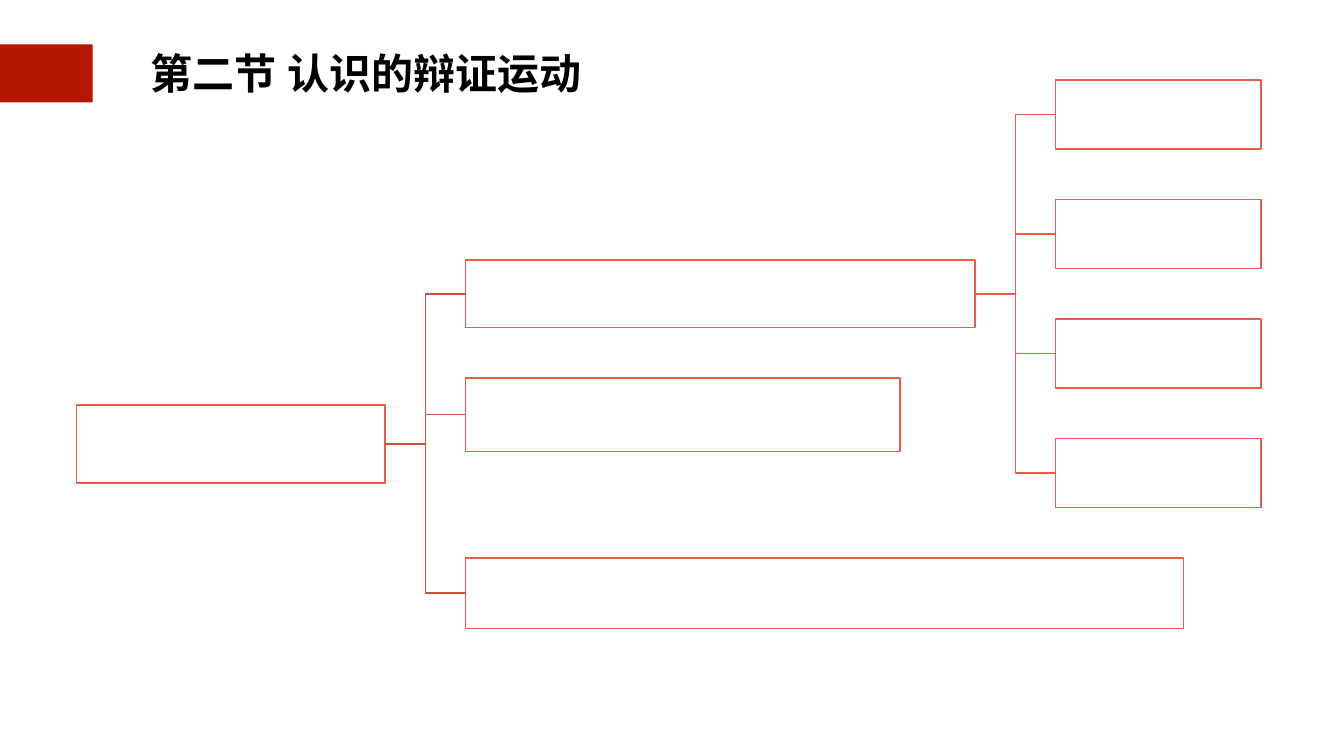
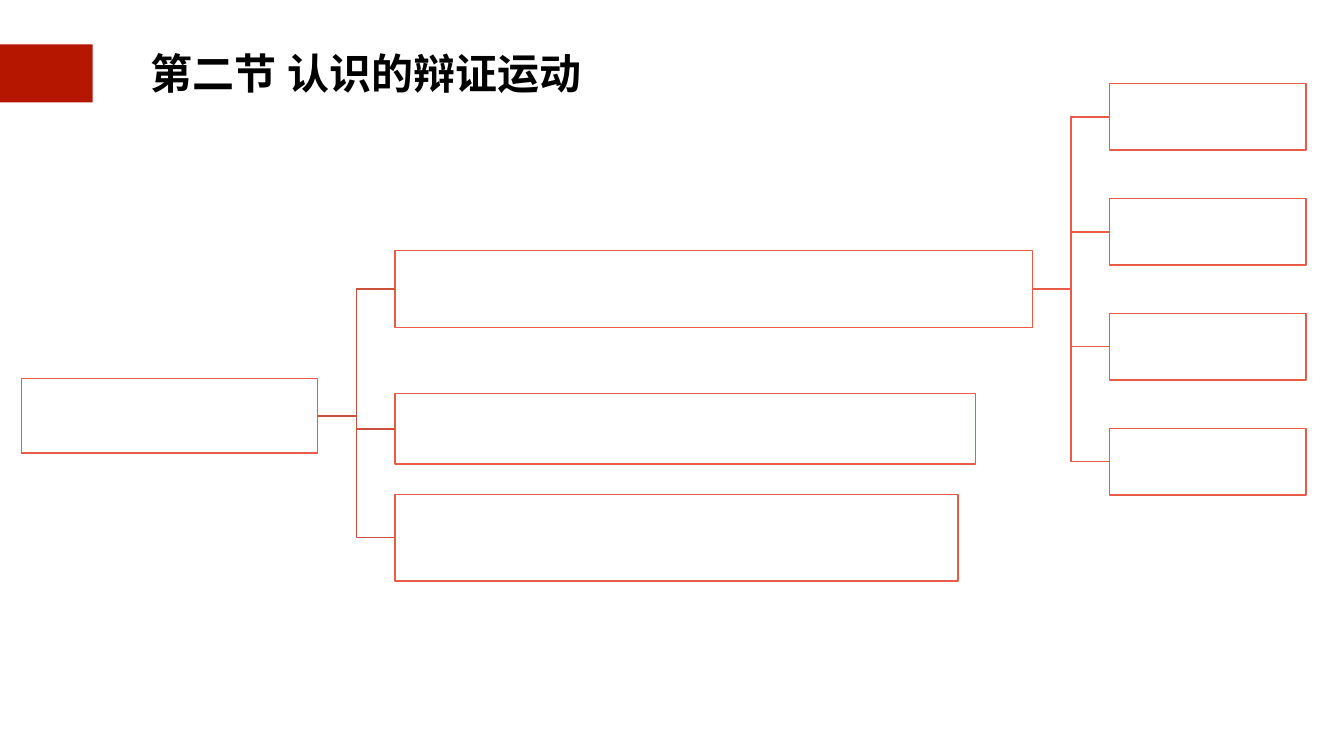
from lxml import etree
from pptx import Presentation
from pptx.dml.color import RGBColor
from pptx.enum.shapes import MSO_CONNECTOR, MSO_SHAPE
from pptx.enum.text import MSO_ANCHOR, MSO_AUTO_SIZE, PP_ALIGN
from pptx.oxml.ns import qn
from pptx.util import Inches, Pt

RECT = MSO_SHAPE.RECTANGLE
ELBOW = MSO_CONNECTOR.ELBOW
MIDDLE = MSO_ANCHOR.MIDDLE
GROW = MSO_AUTO_SIZE.SHAPE_TO_FIT_TEXT
CENTER = PP_ALIGN.CENTER
LEFT, RIGHT = 1, 3

FONT = "Roboto"
BLACK, WHITE = "000000", "FFFFFF"
BAND, TRUNK, TWIG = "B51600", "CC503E", "E75B47"
RULE = 2
TITLE = "第二节 认识的辩证运动"

TREES = [
    {
        "root": (1.52, 8.04, 6.12, 1.54),
        "limbs": [
            (9.24, 5.16, 10.11, 1.34),
            (9.24, 7.5, 8.62, 1.46),
            (9.24, 11.07, 14.25, 1.4),
        ],
        "leaf": (20.95, 1.59, 4.07, 1.37),
        "step": 2.37,
    },
    {
        "root": (0.43, 7.51, 5.87, 1.48),
        "limbs": [
            (7.84, 4.97, 12.65, 1.53),
            (7.84, 7.81, 11.52, 1.4),
            (7.84, 9.81, 11.17, 1.72),
        ],
        "leaf": (22.02, 1.66, 3.9, 1.32),
        "step": 2.28,
    },
]
LEAVES = 4


def color(code):
    return RGBColor.from_string(code)


def place(shape, box):
    for name, value in zip(("left", "top", "width", "height"), box):
        setattr(shape, name, Inches(value))


def add_box(slide, box, fill, line=None):
    shape = slide.shapes.add_shape(RECT, *map(Inches, box))
    shape.shadow.inherit = False
    shape.fill.solid()
    shape.fill.fore_color.rgb = color(fill)
    if line:
        shape.line.color.rgb = color(line)
        shape.line.width = Pt(RULE)
    else:
        shape.line.fill.background()
    return shape


def add_title(slide):
    title = slide.shapes.title
    place(title, (2.83, 0.9, 8.86, 1.1))
    frame = title.text_frame
    frame.text = TITLE
    inset = Inches(0.06)
    style = {
        "margin_left": inset,
        "margin_top": inset,
        "margin_right": inset,
        "margin_bottom": inset,
        "vertical_anchor": MIDDLE,
        "word_wrap": False,
        "auto_size": GROW,
    }
    for name, value in style.items():
        setattr(frame, name, value)
    line = frame.paragraphs[0]
    line.alignment = CENTER
    font = line.runs[0].font
    for name, value in {"name": FONT, "size": Pt(60), "bold": True}.items():
        setattr(font, name, value)
    font.color.rgb = color(BLACK)
    props = line.runs[0]._r.get_or_add_rPr()
    etree.SubElement(props, qn("a:ea")).set("typeface", FONT)


def join(slide, start, end, tint):
    link = slide.shapes.add_connector(ELBOW, 0, 0, 0, 0)
    link.begin_connect(start, RIGHT)
    link.end_connect(end, LEFT)
    link.line.color.rgb = color(tint)
    link.line.width = Pt(RULE)
    etree.SubElement(link._element.spPr, qn("a:effectLst"))


def add_tree(slide, root, limbs, leaf, step):
    base = add_box(slide, root, WHITE, TWIG)
    arms = [add_box(slide, limb, WHITE, TWIG) for limb in limbs]
    left, top, width, height = leaf
    tips = [
        add_box(slide, (left, top + i * step, width, height), WHITE, TWIG)
        for i in range(LEAVES)
    ]
    for arm in arms:
        join(slide, base, arm, TRUNK)
    for tip in tips:
        join(slide, arms[0], tip, TWIG)


def main():
    deck = Presentation()
    deck.slide_width = Inches(26.67)
    deck.slide_height = Inches(15)
    for tree in TREES:
        slide = deck.slides.add_slide(deck.slide_layouts[5])
        add_box(slide, (-0.03, 0.88, 1.87, 1.15), BAND)
        add_title(slide)
        add_tree(slide, **tree)
    deck.save("out.pptx")


if __name__ == "__main__":
    main()
